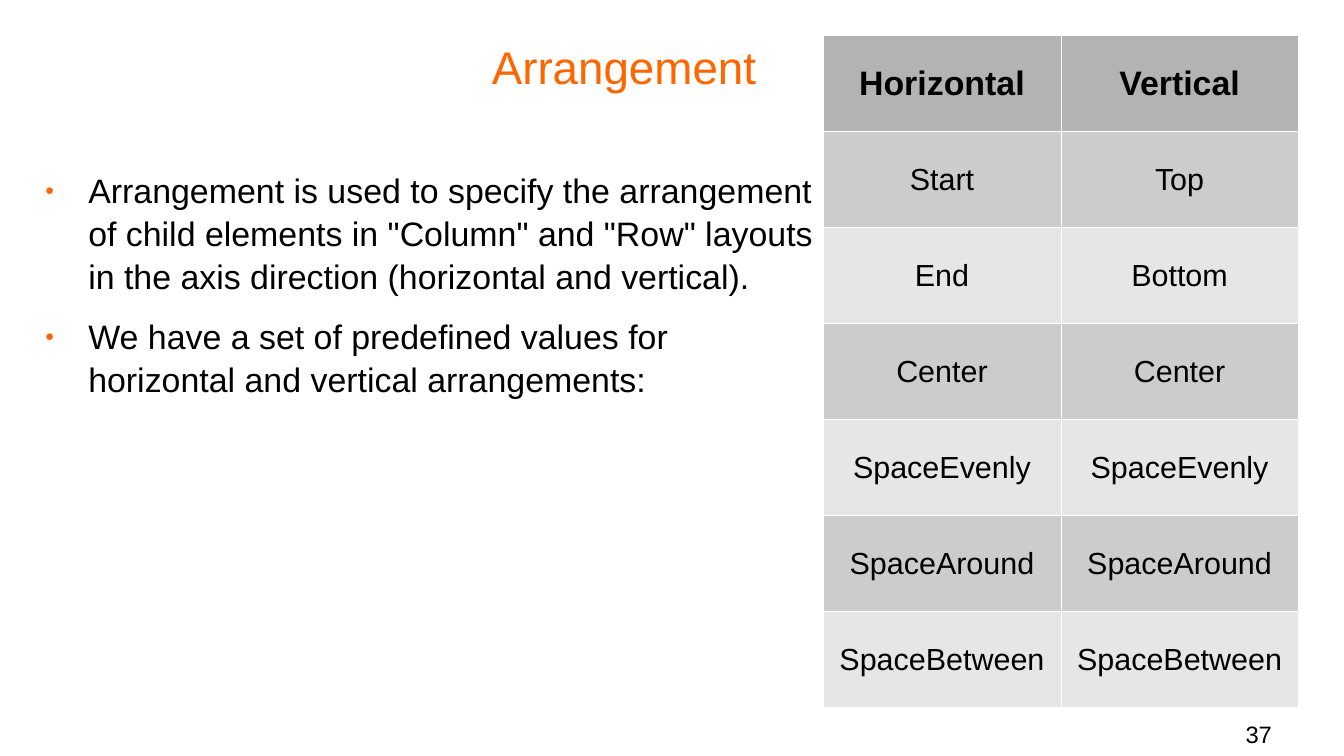
from dataclasses import dataclass

from lxml import etree
from pptx import Presentation
from pptx.dml.color import RGBColor
from pptx.enum.text import MSO_ANCHOR, PP_ALIGN
from pptx.oxml.ns import qn
from pptx.util import Cm, Pt

LEFT, CENTER, RIGHT = PP_ALIGN.LEFT, PP_ALIGN.CENTER, PP_ALIGN.RIGHT
TOP, MIDDLE = MSO_ANCHOR.TOP, MSO_ANCHOR.MIDDLE


@dataclass(frozen=True)
class Theme:
    font: str = "Arial"
    accent: str = "FF6600"
    ink: str = "000000"
    border: str = "FFFFFF"
    header_fill: str = "B3B3B3"
    band_fills: tuple = ("CCCCCC", "E6E6E6")
    title_size: float = 27
    body_size: float = 20
    cell_size: float = 18
    number_size: float = 14


def add_solid_color(parent, color):
    fill = etree.SubElement(parent, qn("a:solidFill"))
    etree.SubElement(fill, qn("a:srgbClr"), val=color)


def write_text(paragraph, text, *, font, size, color, bold=False, align=LEFT):
    paragraph.alignment = align
    run = paragraph.add_run()
    run.text = text
    run.font.name = font
    run.font.size = Pt(size)
    run.font.bold = bold
    run.font.color.rgb = RGBColor.from_string(color)


class SlideBuilder:
    def __init__(self, slide, theme):
        self.slide = slide
        self.theme = theme

    def frame(self, left, top, width, height, anchor=TOP):
        box = self.slide.shapes.add_textbox(Cm(left), Cm(top), Cm(width), Cm(height))
        frame = box.text_frame
        frame.word_wrap = True
        frame.vertical_anchor = anchor
        frame.margin_left = frame.margin_top = 0
        frame.margin_right = frame.margin_bottom = 0
        return frame

    def label(self, text, *bounds, size, color, align, anchor=TOP):
        paragraph = self.frame(*bounds, anchor=anchor).paragraphs[0]
        write_text(paragraph, text, font=self.theme.font, size=size,
                   color=color, align=align)

    def bullets(self, points, *bounds):
        frame = self.frame(*bounds)
        for index, point in enumerate(points):
            paragraph = frame.add_paragraph() if index else frame.paragraphs[0]
            paragraph.line_spacing = 1.05
            paragraph.space_before = Pt(10.6 if index else 0)
            self.add_bullet(paragraph)
            write_text(paragraph, point, font=self.theme.font,
                       size=self.theme.body_size, color=self.theme.ink)

    def add_bullet(self, paragraph):
        properties = paragraph._p.get_or_add_pPr()
        properties.set("marL", str(Cm(1.2)))
        properties.set("indent", str(Cm(-0.9)))
        bullet_color = etree.SubElement(properties, qn("a:buClr"))
        etree.SubElement(bullet_color, qn("a:srgbClr"), val=self.theme.accent)
        etree.SubElement(properties, qn("a:buSzPct"), val="45000")
        etree.SubElement(properties, qn("a:buFont"), typeface=self.theme.font)
        etree.SubElement(properties, qn("a:buChar"), char="●")

    def table(self, rows, left, top, column_width, row_height):
        row_count, column_count = len(rows), len(rows[0])
        table = self.slide.shapes.add_table(
            row_count, column_count, Cm(left), Cm(top),
            Cm(column_width * column_count), Cm(row_height * row_count)).table
        for column in table.columns:
            column.width = Cm(column_width)
        for index, (row, values) in enumerate(zip(table.rows, rows)):
            row.height = Cm(row_height)
            for cell, value in zip(row.cells, values):
                self.fill_cell(cell, value, index)

    def fill_cell(self, cell, value, row_index):
        theme = self.theme
        is_header = row_index == 0
        fill = theme.header_fill if is_header else theme.band_fills[(row_index - 1) % 2]
        cell.vertical_anchor = MIDDLE
        # Borders come before the fill in the cell properties
        properties = cell._tc.get_or_add_tcPr()
        for side in ("lnL", "lnR", "lnT", "lnB"):
            line = etree.SubElement(properties, qn(f"a:{side}"), w=str(Pt(0.06)))
            add_solid_color(line, theme.border)
        cell.fill.solid()
        cell.fill.fore_color.rgb = RGBColor.from_string(fill)
        write_text(cell.text_frame.paragraphs[0], value, font=theme.font,
                   size=theme.body_size if is_header else theme.cell_size,
                   color=theme.ink, bold=is_header, align=CENTER)


def main():
    presentation = Presentation()
    presentation.slide_width = Cm(28)
    presentation.slide_height = Cm(15.75)
    theme = Theme()
    builder = SlideBuilder(
        presentation.slides.add_slide(presentation.slide_layouts[6]), theme)

    # Title
    builder.label("Arrangement", 1.5, 0.5, 23, 1.75, size=theme.title_size,
                  color=theme.accent, align=CENTER, anchor=MIDDLE)

    # Explanation
    explanation = [
        'Arrangement is used to specify the arrangement of child elements in '
        '"Column" and "Row" layouts in the axis direction (horizontal and vertical).',
        "We have a set of predefined values for horizontal and vertical arrangements:",
    ]
    builder.bullets(explanation, 0.64, 3.5, 16.5, 11)

    # Predefined values
    arrangements = [
        ("Horizontal", "Vertical"),
        ("Start", "Top"),
        ("End", "Bottom"),
        *((shared, shared) for shared in
          ("Center", "SpaceEvenly", "SpaceAround", "SpaceBetween")),
    ]
    builder.table(arrangements, 17.15, 0.74, column_width=4.95, row_height=2)

    # Slide number
    builder.label("37", 20, 15, 6.5, 0.75, size=theme.number_size,
                  color=theme.ink, align=RIGHT)

    presentation.save("out.pptx")


if __name__ == "__main__":
    main()
